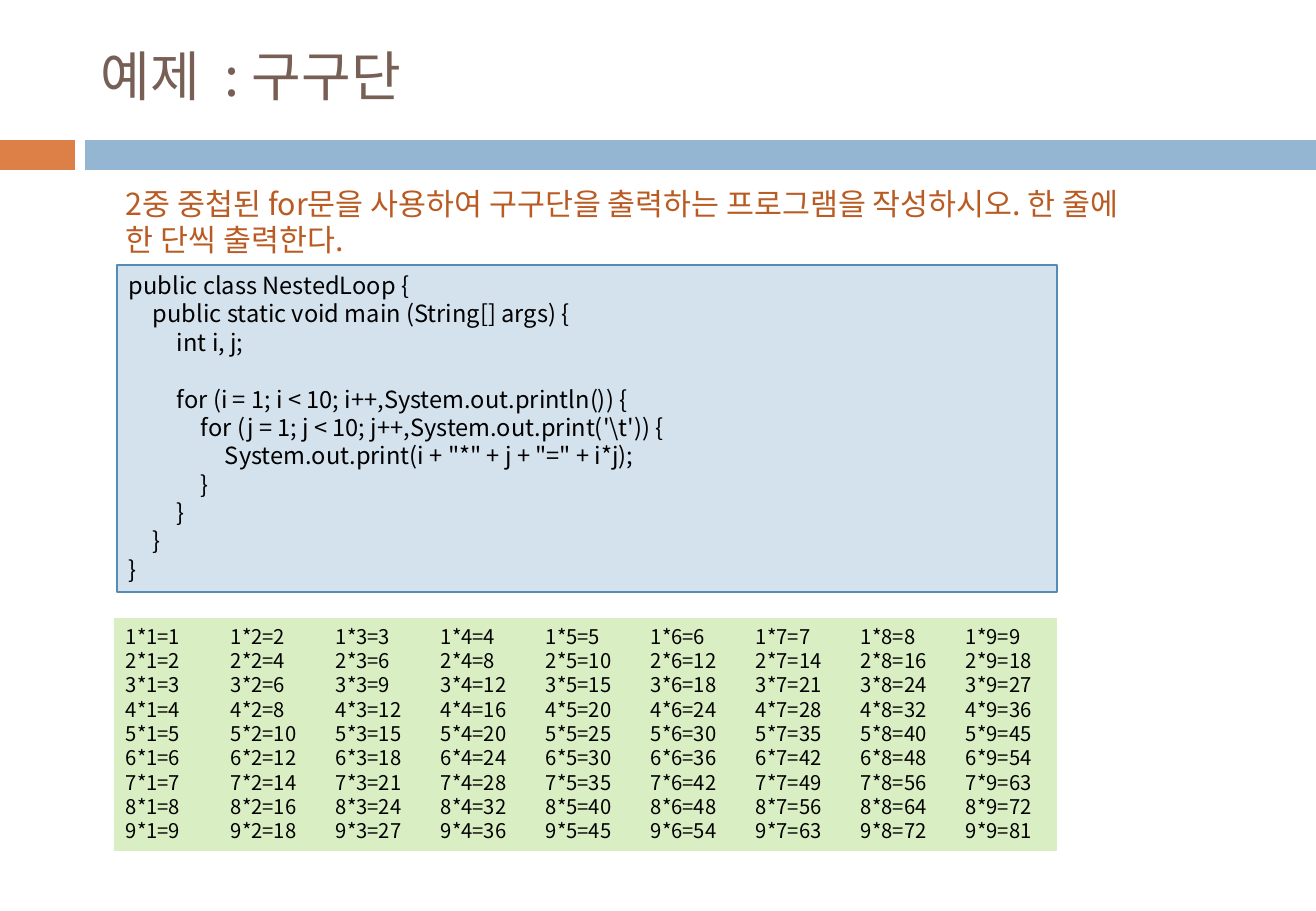
from dataclasses import dataclass
from typing import Optional

from lxml import etree
from pptx import Presentation, util as u
from pptx.dml.color import RGBColor
from pptx.enum import shapes, text
from pptx.oxml import ns

PX = 7526  # EMU per px
FONT = "Noto Sans CJK KR"
LEAD = 1.2

BLACK = RGBColor(0x00, 0x00, 0x00)
BROWN = RGBColor(0x77, 0x5F, 0x55)
RUST = RGBColor(0xB9, 0x5B, 0x22)
ORANGE = RGBColor(0xDD, 0x80, 0x47)
BLUE = RGBColor(0x94, 0xB6, 0xD2)
PALE = RGBColor(0xD4, 0xE2, 0xED)
EDGE = RGBColor(0x55, 0x8B, 0xB8)
GREEN = RGBColor(0xDA, 0xEE, 0xC4)

CODE = r"""public class NestedLoop {
    public static void main (String[] args) {
        int i, j;

        for (i = 1; i < 10; i++,System.out.println()) {
            for (j = 1; j < 10; j++,System.out.print('\t')) {
                System.out.print(i + "*" + j + "=" + i*j);
            }
        }
    }
}""".replace("    ", "\t")

TIMES = "\n".join(
    "\t".join(f"{i}*{j}={i * j}" for j in range(1, 10)) for i in range(1, 10)
)
TASK = (
    "2중 중첩된 for문을 사용하여 구구단을 출력하는 프로그램을 작성하시오. "
    "한 줄에 한 단씩 출력한다."
)


@dataclass
class Box:
    left: int
    top: int
    width: int
    height: int
    words: str = ""
    size: int = 0
    color: RGBColor = BLACK
    fill: Optional[RGBColor] = None
    line: Optional[RGBColor] = None
    tab: int = 0
    stops: int = 0
    wrap: bool = True
    anchor: text.MSO_ANCHOR = text.MSO_ANCHOR.TOP


BOXES = [
    Box(0, 140, 75, 30, fill=ORANGE),
    Box(85, 140, 1231, 30, fill=BLUE),
    Box(89, 30, 1174, 90, "예제  : 구구단", 32, BROWN,
        anchor=text.MSO_ANCHOR.MIDDLE),
    Box(117, 265, 940, 327, CODE, 14, fill=PALE, line=EDGE, tab=24, stops=4),
    Box(114, 179, 1039, 86, TASK, 18, RUST),
    Box(114, 618, 943, 233, TIMES, 12, fill=GREEN, tab=105, stops=8,
        wrap=False),
]


def add_tabs(para, gap: int, count: int) -> None:
    """Put evenly spaced left tab stops on a paragraph."""
    tabs = etree.SubElement(para._p.get_or_add_pPr(), ns.qn("a:tabLst"))
    for n in range(1, count + 1):
        etree.SubElement(tabs, ns.qn("a:tab"), pos=str(n * gap * PX), algn="l")


def write(shape, box: Box) -> None:
    frame = shape.text_frame
    frame.text = box.words
    frame.word_wrap = box.wrap
    frame.vertical_anchor = box.anchor
    for para in frame.paragraphs:
        para.alignment = text.PP_ALIGN.LEFT
        para.line_spacing = u.Pt(box.size * LEAD)
        if box.stops:
            add_tabs(para, box.tab, box.stops)
        for run in para.runs:
            font = run.font
            font.name = FONT
            font.size = u.Pt(box.size)
            font.color.rgb = box.color
            east = etree.SubElement(run._r.get_or_add_rPr(), ns.qn("a:ea"))
            east.set("typeface", FONT)


def draw(slide, box: Box) -> None:
    area = [n * PX for n in (box.left, box.top, box.width, box.height)]
    if box.fill is None:
        shape = slide.shapes.add_textbox(*area)
    else:
        shape = slide.shapes.add_shape(shapes.MSO_SHAPE.RECTANGLE, *area)
        shape.shadow.inherit = False
        shape.fill.solid()
        shape.fill.fore_color.rgb = box.fill
        if box.line is None:
            shape.line.fill.background()
        else:
            shape.line.color.rgb = box.line
            shape.line.width = u.Pt(0.75)
    if box.words:
        write(shape, box)


def main() -> None:
    deck = Presentation()
    deck.slide_width = 1316 * PX
    deck.slide_height = 911 * PX
    slide = deck.slides.add_slide(deck.slide_layouts[6])
    for box in BOXES:
        draw(slide, box)
    deck.save("out.pptx")


if __name__ == "__main__":
    main()
